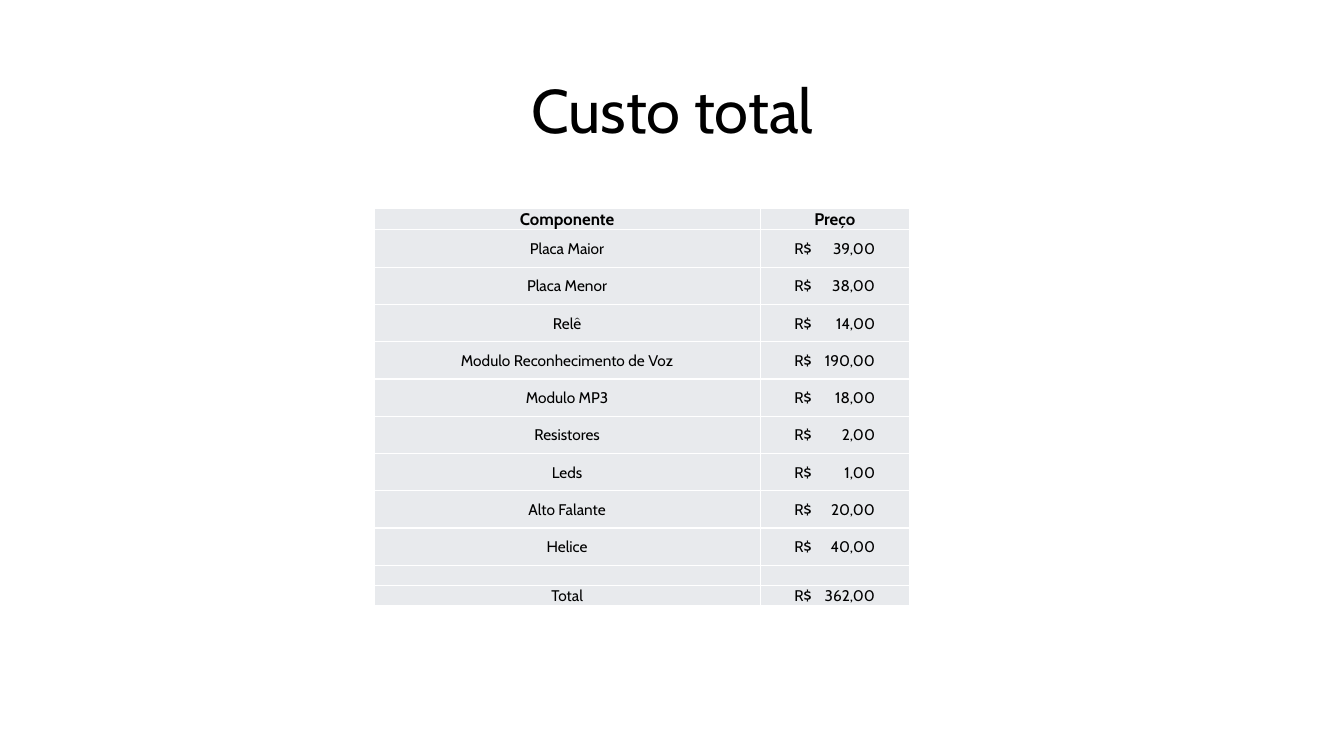
from lxml import etree
from pptx import Presentation
from pptx import util as u
from pptx.dml.color import RGBColor
from pptx.enum import text
from pptx.oxml.ns import qn

COLORS = {"text": "000000", "cell": "E8EAED", "border": "FFFFFF"}
HEADERS = ("Componente", "Preço")
COSTS = [
    ("Placa Maior", "39,00"),
    ("Placa Menor", "38,00"),
    ("Relê", "14,00"),
    ("Modulo Reconhecimento de Voz", "190,00"),
    ("Modulo MP3", "18,00"),
    ("Resistores", "2,00"),
    ("Leds", "1,00"),
    ("Alto Falante", "20,00"),
    ("Helice", "40,00"),
]
TOTAL = ("Total", "362,00")


class CostSlide:
    """Holds the style and the current slide."""

    font_name = "Cabin"
    cell_inset = 0.01
    price_inset = 0.34
    price_tab = 0.8

    def __init__(self, presentation):
        self.slide = presentation.slides.add_slide(presentation.slide_layouts[6])

    def format_runs(self, paragraph, size, bold=False):
        for run in paragraph.runs:
            run.font.name = self.font_name
            run.font.size = u.Pt(size)
            run.font.bold = bold
            run.font.color.rgb = RGBColor.from_string(COLORS["text"])

    def add_title(self, wording, left, top, width, height):
        shape = self.slide.shapes.add_textbox(*map(u.Inches, (left, top, width, height)))
        frame = shape.text_frame
        frame.word_wrap = True
        frame.vertical_anchor = text.MSO_ANCHOR.MIDDLE
        frame.text = wording
        paragraph = frame.paragraphs[0]
        paragraph.alignment = text.PP_ALIGN.CENTER
        paragraph.line_spacing = 0.9
        self.format_runs(paragraph, 44)

    def add_table(self, rows, left, top, widths, heights):
        frame = self.slide.shapes.add_table(
            len(rows), len(widths), u.Inches(left), u.Inches(top),
            u.Inches(sum(widths)), u.Inches(sum(heights)))
        table = frame.table
        table.first_row = table.horz_banding = False
        for column, width in zip(table.columns, widths):
            column.width = u.Inches(width)
        for row, height, values in zip(table.rows, heights, rows):
            row.height = u.Inches(height)
            for cell, value in zip(row.cells, values):
                self.fill_cell(cell, value, header=values == HEADERS)

    def fill_cell(self, cell, value, header):
        cell.margin_left = cell.margin_right = cell.margin_top = u.Inches(self.cell_inset)
        cell.margin_bottom = 0
        cell.vertical_anchor = text.MSO_ANCHOR.MIDDLE
        size = 12 if header else 11
        cell.text_frame.text = value
        paragraph = cell.text_frame.paragraphs[0]
        paragraph.alignment = text.PP_ALIGN.CENTER
        if "\t" in value:
            self.align_price(cell, paragraph)
        if not value:
            # Keeps the empty row as low as the total row
            etree.SubElement(paragraph._p, qn("a:endParaRPr"), sz=str(size * 100))
        self.format_runs(paragraph, size, header)
        self.add_borders(cell)
        cell.fill.solid()
        cell.fill.fore_color.rgb = RGBColor.from_string(COLORS["cell"])

    def align_price(self, cell, paragraph):
        """Currency sign on the left, amount against a right tab."""
        cell.margin_left = u.Inches(self.price_inset)
        paragraph.alignment = text.PP_ALIGN.LEFT
        tabs = etree.SubElement(paragraph._p.get_or_add_pPr(), qn("a:tabLst"))
        etree.SubElement(tabs, qn("a:tab"), pos=str(u.Inches(self.price_tab)), algn="r")

    def add_borders(self, cell):
        properties = cell._tc.get_or_add_tcPr()
        for side in ("lnL", "lnR", "lnT", "lnB"):
            line = etree.SubElement(properties, qn(f"a:{side}"), w=str(u.Pt(1)))
            fill = etree.SubElement(line, qn("a:solidFill"))
            etree.SubElement(fill, qn("a:srgbClr"), val=COLORS["border"])


def main():
    presentation = Presentation()
    presentation.slide_width = u.Inches(13.33)
    presentation.slide_height = u.Inches(7.5)
    slide = CostSlide(presentation)

    # Title
    slide.add_title("Custo total", 0.92, 0.4, 11.5, 1.45)

    # Cost table, with an empty row above the total
    priced = [(name, f"R$\t{amount}") for name, amount in COSTS + [TOTAL]]
    rows = [HEADERS, *priced[:-1], ("", ""), priced[-1]]
    heights = [0.21] + [0.37] * len(COSTS) + [0.2, 0.2]
    slide.add_table(rows, 3.71, 2.07, (3.83, 1.48), heights)

    presentation.save("out.pptx")


if __name__ == "__main__":
    main()
